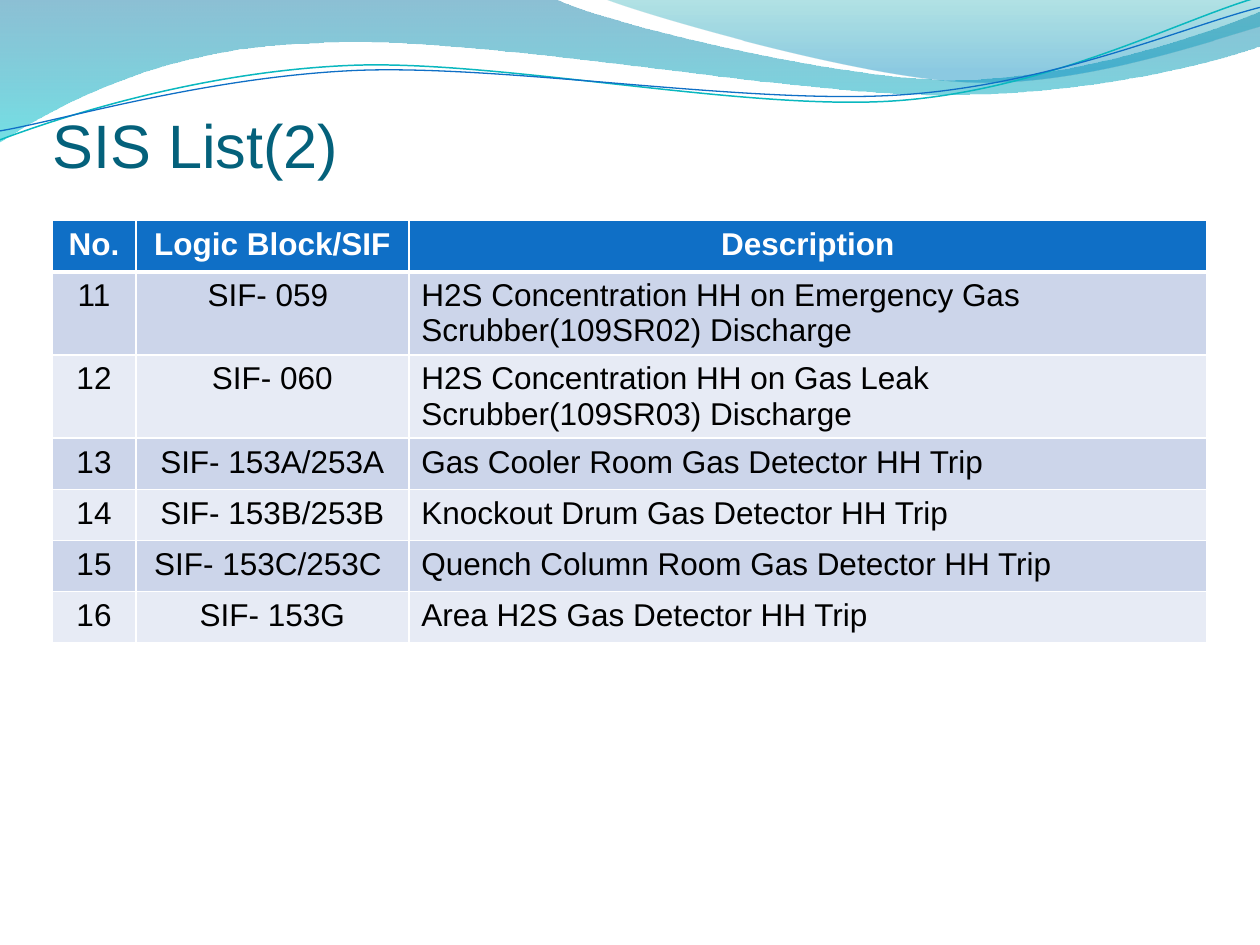
from dataclasses import dataclass

from lxml.etree import SubElement
from pptx import Presentation
from pptx.dml.color import RGBColor
from pptx.enum.text import MSO_ANCHOR, MSO_AUTO_SIZE, PP_ALIGN
from pptx.oxml.ns import qn
from pptx.util import Cm, Pt


@dataclass(frozen=True)
class Theme:
    font: str = "Arial"
    title_size: int = 35
    table_size: int = 18
    title: str = "04617B"
    header: str = "0F6FC6"
    white: str = "FFFFFF"
    text: str = "000000"
    bands: tuple = ("CCD5EA", "E7EBF5")
    back_wave: tuple = ((0, "0074A1", 45), (1, "00C6CF", 55))
    front_wave: tuple = ((0, "00A1A9", 30), (0.8, "008BBF", 45))
    teal_line: str = "0AB8BF"
    blue_line: str = "0F6FC6"


theme = Theme()
rgb = RGBColor.from_string


def add_curve(shapes, start, segments, close):
    points = [pt for seg in segments for pt in zip(seg[::2], seg[1::2])]
    fb = shapes.build_freeform(Cm(start[0]), Cm(start[1]))
    fb.add_line_segments([(Cm(x), Cm(y)) for x, y in points], close=close)
    sp = fb.convert_to_shape()
    sp.shadow.inherit = False
    steps = iter(list(sp.element.iter(qn("a:lnTo"))))
    for seg in segments:
        step = next(steps)
        if len(seg) == 6:
            step.tag = qn("a:cubicBezTo")
            for other in (next(steps), next(steps)):
                step.append(other[0])
                other.getparent().remove(other)
    return sp


def add_run(p, text, size, color, bold=False):
    r = p.add_run()
    r.text = text
    r.font.name = theme.font
    r.font.size = Pt(size)
    r.font.bold = bold
    r.font.color.rgb = rgb(color)


prs = Presentation()
prs.slide_width, prs.slide_height = Cm(25.4), Cm(19.05)
s = prs.slides.add_slide(prs.slide_layouts[5])

waves = [
    ((0, 0), [(11.18, -0.03),
              (12.09, 0.43, 16.87, 1.6, 19.25, 1.6),
              (21.67, 1.6, 24.33, 0.66, 25.4, 0.23),
              (25.43, 0.91),
              (24.97, 1.12, 22.1, 1.93, 18.95, 1.91),
              (15.8, 1.91, 9.7, 0.71, 6.53, 0.86),
              (3.28, 0.91, 1.17, 2.11, -0.03, 2.87),
              (0, 0)], theme.back_wave),
    ((12.17, -0.03), [(12.93, 0.28, 17.32, 1.57, 19.53, 1.65),
                      (21.74, 1.75, 24.41, 0.81, 25.4, 0.53),
                      (25.4, 0),
                      (12.17, -0.03)], theme.front_wave),
]
for start, segments, stops in waves:
    sp = add_curve(s.shapes, start, segments, True)
    sp.line.fill.background()
    sp.fill.gradient()
    sp.fill.gradient_angle = 270
    for stop, (position, color, _) in zip(sp.fill.gradient_stops, stops):
        stop.position = position
        stop.color.rgb = rgb(color)
    colors = sp.element.spPr.iter(qn("a:srgbClr"))
    for clr, (_, _, opacity) in zip(colors, stops):
        SubElement(clr, qn("a:alpha"), val=str(opacity * 1000))

wave_lines = [
    ((0, 2.82), [(1.22, 2.36, 4.01, 1.45, 7.04, 1.32),
                 (10.03, 1.19, 15.06, 2.26, 18.11, 2.03),
                 (21.16, 1.8, 23.83, 0.38, 25.35, -0.05)], theme.teal_line, 0.85),
    ((0, 2.64), [(1.19, 2.44, 4.17, 1.55, 7.19, 1.42),
                 (10.24, 1.3, 15.16, 2.13, 18.21, 1.91),
                 (21.23, 1.7, 23.9, 0.53, 25.4, 0.15)], theme.blue_line, 0.75),
]
for start, segments, color, width in wave_lines:
    sp = add_curve(s.shapes, start, segments, False)
    sp.fill.background()
    sp.line.color.rgb = rgb(color)
    sp.line.width = Pt(width)

title = s.shapes.title
title.element.getparent().append(title.element)
title.left, title.top, title.width, title.height = Cm(1.06), Cm(1.53), Cm(22.86), Cm(2.11)
tf = title.text_frame
tf.auto_size = MSO_AUTO_SIZE.NONE
tf.vertical_anchor = MSO_ANCHOR.BOTTOM
tf.margin_left = tf.margin_right = tf.margin_bottom = 0
tf.margin_top = Cm(0.13)
p = tf.paragraphs[0]
p.alignment = PP_ALIGN.LEFT
add_run(p, "SIS List(2)", theme.title_size, theme.title)

rows = [
    ("No.", "Logic Block/SIF", "Description"),
    ("11", "SIF- 059 ", "H2S Concentration HH on Emergency Gas Scrubber(109SR02) Discharge"),
    ("12", "SIF- 060", "H2S Concentration HH on Gas Leak Scrubber(109SR03) Discharge"),
    ("13", "SIF- 153A/253A", "Gas Cooler Room Gas Detector HH Trip"),
    ("14", "SIF- 153B/253B", "Knockout Drum Gas Detector HH Trip"),
    ("15", "SIF- 153C/253C ", "Quench Column Room Gas Detector HH Trip"),
    ("16", "SIF- 153G", "Area H2S Gas Detector HH Trip"),
]
col_widths = (1.69, 5.5, 16.09)
row_height = 1.03
table = s.shapes.add_table(len(rows), len(col_widths), Cm(1.05), Cm(4.45),
                           Cm(sum(col_widths)), Cm(row_height * len(rows))).table
for col, width in zip(table.columns, col_widths):
    col.width = Cm(width)

for i, values in enumerate(rows):
    header = i == 0
    for j, value in enumerate(values):
        cell = table.cell(i, j)
        tcPr = cell._tc.get_or_add_tcPr()
        for side in ("lnL", "lnR", "lnT", "lnB"):
            thick = (i, side) in ((0, "lnB"), (1, "lnT"))
            ln = SubElement(tcPr, qn(f"a:{side}"), w=str(Pt(3 if thick else 1)))
            SubElement(SubElement(ln, qn("a:solidFill")), qn("a:srgbClr"), val=theme.white)
        cell.fill.solid()
        cell.fill.fore_color.rgb = rgb(theme.header if header else theme.bands[(i - 1) % 2])
        p = cell.text_frame.paragraphs[0]
        p.alignment = PP_ALIGN.CENTER if header or j < 2 else PP_ALIGN.LEFT
        add_run(p, value, theme.table_size, theme.white if header else theme.text, header)

prs.save("out.pptx")
